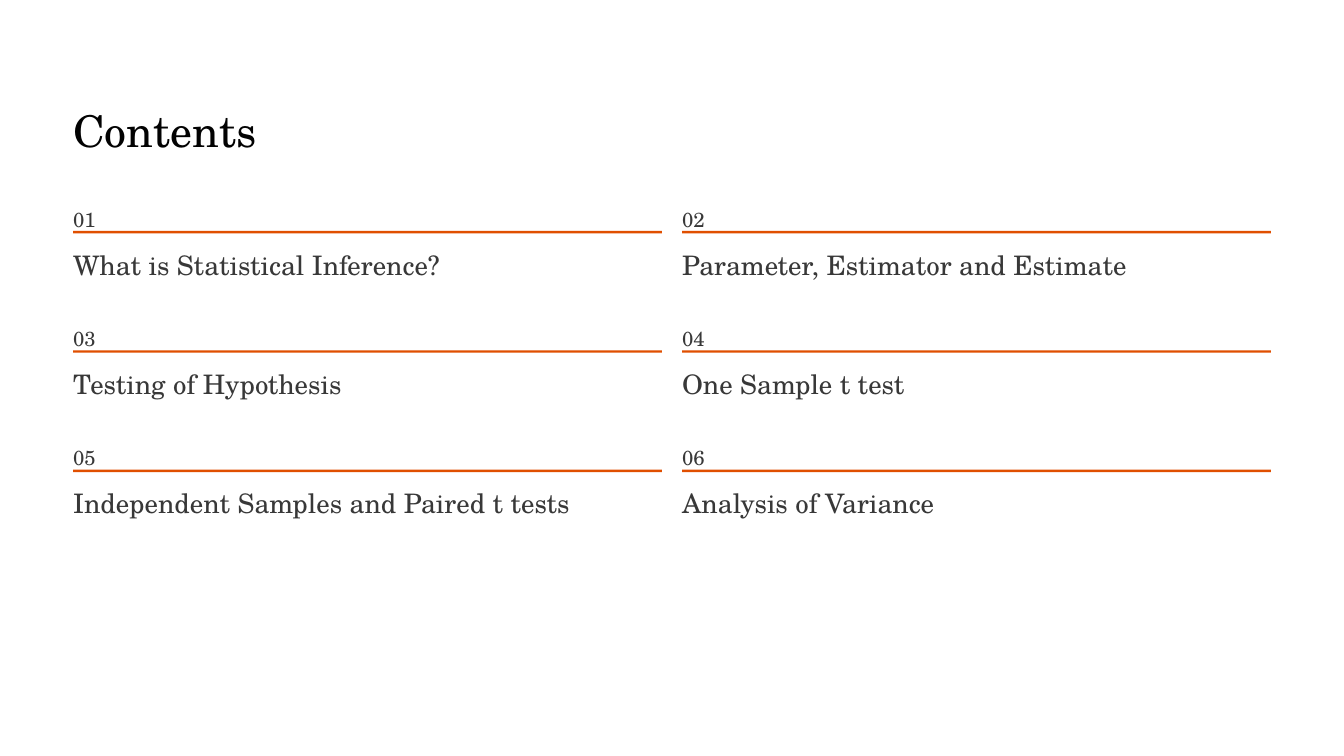
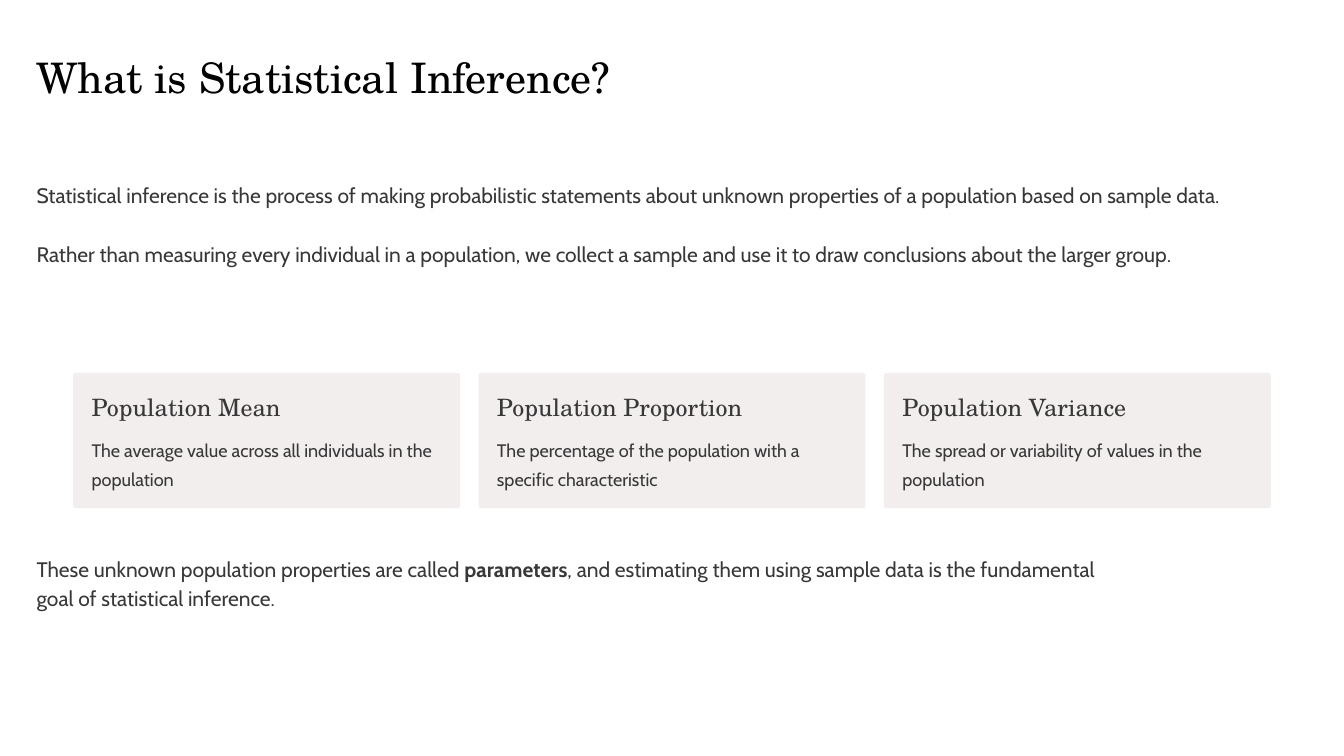
from pptx import Presentation
from pptx.dml.color import RGBColor
from pptx.enum.shapes import MSO_SHAPE
from pptx.util import Inches, Pt

WHITE = RGBColor(0xFF, 0xFF, 0xFF)
TITLE_INK = RGBColor(0x02, 0x02, 0x02)
INK = RGBColor(0x38, 0x38, 0x38)
ORANGE = RGBColor(0xE0, 0x4F, 0x00)
CARD_FILL = RGBColor(0xF2, 0xEE, 0xEE)
SERIF, SANS = "TeX Gyre Schola", "Cabin"

# Page grid, in inches
PAGE_W, PAGE_H = 16, 9
MARGIN = 0.87
CONTENT_W = PAGE_W - 2 * MARGIN
TEXT_LEFT = MARGIN / 2

TOPICS = [
    "What is Statistical Inference?",
    "Parameter, Estimator and Estimate",
    "Testing of Hypothesis",
    "One Sample t test",
    "Independent Samples and Paired t tests",
    "Analysis of Variance",
]
INTRO = [
    [("Statistical inference is the process of making probabilistic statements "
      "about unknown properties of a population based on sample data.", False)],
    [("Rather than measuring every individual in a population, we collect a "
      "sample and use it to draw conclusions about the larger group.", False)],
]
CARDS = [
    ("Population Mean",
     "The average value across all individuals in the population"),
    ("Population Proportion",
     "The percentage of the population with a specific characteristic"),
    ("Population Variance",
     "The spread or variability of values in the population"),
]
CLOSING = [
    [("These unknown population properties are called ", False),
     ("parameters", True),
     (", and estimating them using sample data is the fundamental", False)],
    [("goal of statistical inference.", False)],
]


def add_text(slide, box, paragraphs, size, leading, font=SERIF, color=INK, gap=0):
    """Place paragraphs, each a list of (text, bold) runs or a plain string."""
    tf = slide.shapes.add_textbox(*map(Inches, box)).text_frame
    tf.word_wrap = True
    tf.margin_left = tf.margin_right = tf.margin_top = tf.margin_bottom = 0
    for i, runs in enumerate(paragraphs):
        p = tf.paragraphs[0] if i == 0 else tf.add_paragraph()
        p.line_spacing = Pt(leading)
        if i and gap:
            p.space_before = Pt(gap)
        for text, bold in [(runs, False)] if isinstance(runs, str) else runs:
            r = p.add_run()
            r.text = text
            r.font.name, r.font.size, r.font.bold = font, Pt(size), bold
            r.font.color.rgb = color


def add_block(slide, kind, box, fill):
    sp = slide.shapes.add_shape(kind, *map(Inches, box))
    sp.shadow.inherit = False
    sp.fill.solid()
    sp.fill.fore_color.rgb = fill
    sp.line.fill.background()
    return sp


def add_page(prs, title, box, size, leading):
    """Start a white slide with its title."""
    slide = prs.slides.add_slide(prs.slide_layouts[6])
    slide.background.fill.solid()
    slide.background.fill.fore_color.rgb = WHITE
    add_text(slide, box, [title], size, leading, color=TITLE_INK)
    return slide


def columns(count, gap):
    """Return the left edges and shared width of equal content columns."""
    width = (CONTENT_W - (count - 1) * gap) / count
    return [MARGIN + i * (width + gap) for i in range(count)], width


def add_topic(slide, left, top, width, number, topic):
    add_text(slide, (left, top, width, 0.31), [f"{number:02d}"], 17.5, 28.5)
    add_block(slide, MSO_SHAPE.RECTANGLE, (left, top + 0.39, width, 0.03), ORANGE)
    add_text(slide, (left, top + 0.58, width, 0.41), [topic], 23, 29)


def add_card(slide, left, top, width, height, heading, body):
    pad = 0.22
    inner = width - 2 * pad
    card = add_block(slide, MSO_SHAPE.ROUNDED_RECTANGLE,
                     (left, top, width, height), CARD_FILL)
    card.adjustments[0] = 0.02
    add_text(slide, (left + pad, top + pad, inner, 0.36), [heading], 20.5, 25.5)
    add_text(slide, (left + pad, top + 0.7, inner, 0.69), [body], 15.5, 25, SANS)


def contents_slide(prs):
    slide = add_page(prs, "Contents", (MARGIN, 1.21, 5.21, 0.65), 37.5, 46.5)
    lefts, width = columns(2, 0.24)
    for i, topic in enumerate(TOPICS):
        row, col = divmod(i, len(lefts))
        add_topic(slide, lefts[col], 2.36 + row * 1.42, width, i + 1, topic)


def inference_slide(prs):
    slide = add_page(prs, TOPICS[0], (TEXT_LEFT, 0.5, 7.41, 0.71), 36, 51)
    add_text(slide, (TEXT_LEFT, 2.13, CONTENT_W, 1.84), INTRO, 18, 25, SANS, gap=25)
    # Row of population cards
    lefts, width = columns(len(CARDS), 0.22)
    for left, (heading, body) in zip(lefts, CARDS):
        add_card(slide, left, 4.44, width, 1.61, heading, body)
    add_text(slide, (TEXT_LEFT, 6.58, CONTENT_W, 0.74), CLOSING, 18, 25, SANS)


def main():
    prs = Presentation()
    prs.slide_width, prs.slide_height = Inches(PAGE_W), Inches(PAGE_H)
    contents_slide(prs)
    inference_slide(prs)
    prs.save("out.pptx")


if __name__ == "__main__":
    main()
